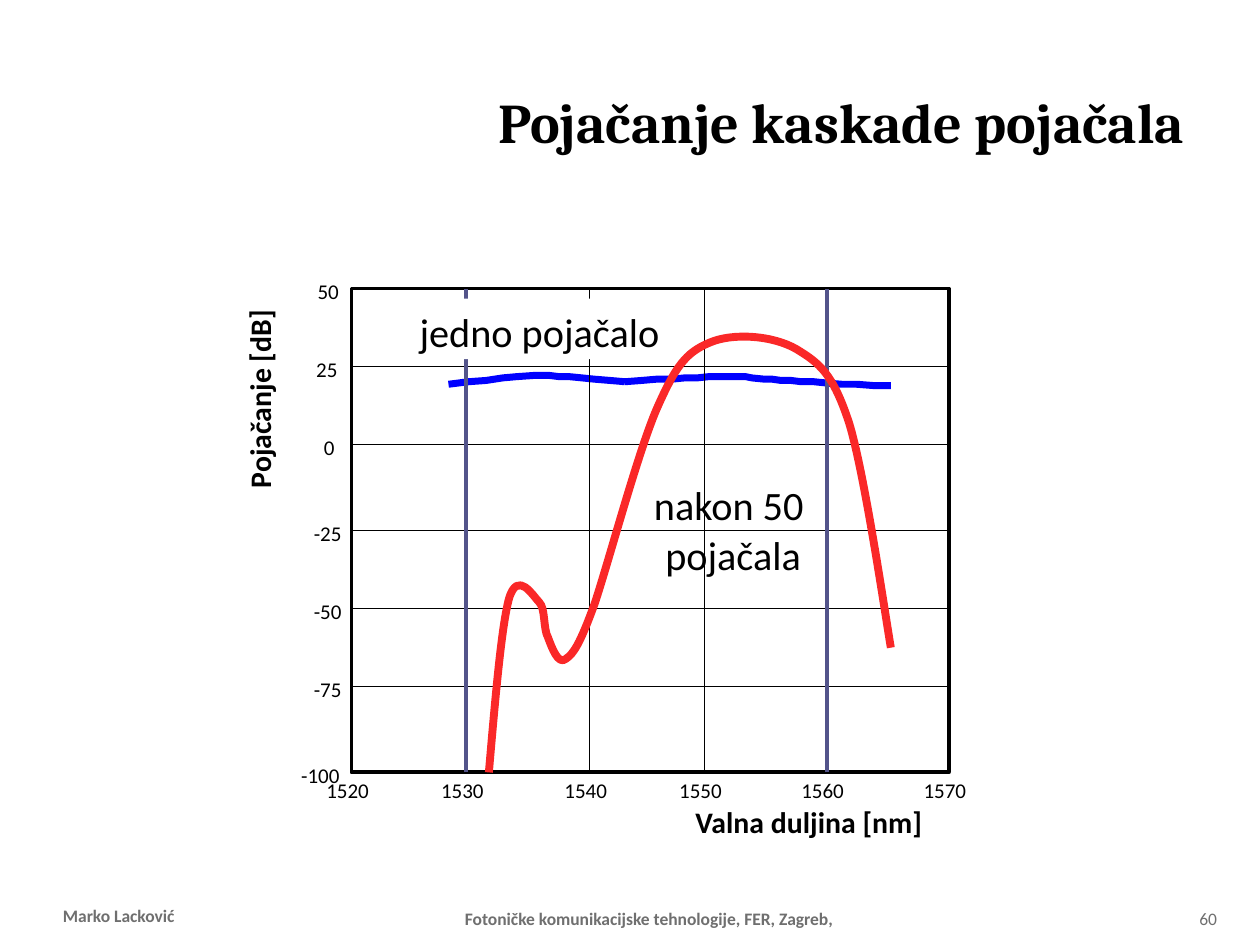
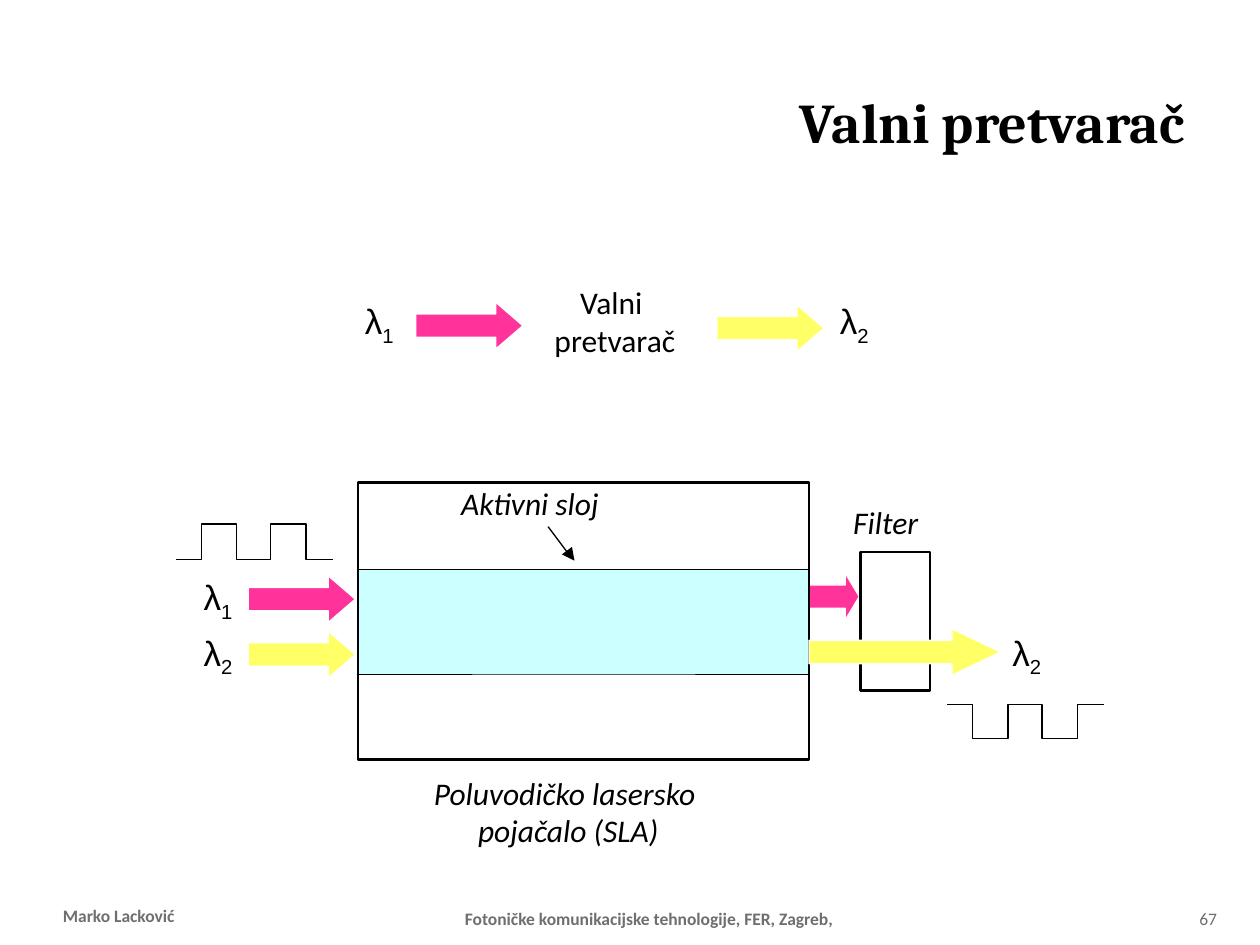
from itertools import chain
from lxml.etree import SubElement
from pptx import Presentation
from pptx.dml.color import RGBColor
from pptx.enum.shapes import MSO_CONNECTOR, MSO_SHAPE
from pptx.enum.text import MSO_ANCHOR, PP_ALIGN
from pptx.oxml.ns import qn
from pptx.util import Pt

PX = 9144  # EMU per px, 100 px to the inch
BLACK, WHITE, GREY = "000000", "FFFFFF", "6F6F6F"
BLUE, RED, VIOLET = "0000FF", "FA2828", "53548A"
PINK, YELLOW, CYAN = "FF3399", "FFFF66", "CCFFFF"


def paint(part, fill=None, line=None, width=0.75):
    """Colour a shape, connector or font; a missing colour means none."""
    if hasattr(part, "fill"):
        if fill:
            part.fill.solid()
            part.fill.fore_color.rgb = RGBColor.from_string(fill)
        else:
            part.fill.background()
    if hasattr(part, "line"):
        if line:
            part.line.color.rgb = RGBColor.from_string(line)
            part.line.width = Pt(width)
        else:
            part.line.fill.background()
        SubElement(part._element.spPr, qn("a:effectLst"))


def write(page, text, left, top, width, height, size=12, font="Calibri", color=BLACK,
          bold=False, italic=False, align=PP_ALIGN.LEFT, anchor=MSO_ANCHOR.TOP,
          inset=(0, 0), sub="", turn=0):
    """Add a text box: \\n parts paragraphs, \\v parts lines, sub is a closing subscript."""
    box = page.shapes.add_textbox(left * PX, top * PX, width * PX, height * PX)
    box.rotation = turn
    frame = box.text_frame
    frame.word_wrap = True
    frame.vertical_anchor = anchor
    frame.margin_left = inset[0] * PX
    frame.margin_right = inset[-1] * PX
    frame.margin_top = frame.margin_bottom = 5 * PX if any(inset) else 0
    for index, paragraph in enumerate(text.split("\n")):
        para = frame.add_paragraph() if index else frame.paragraphs[0]
        para.alignment = align
        para.font.size = Pt(size)
        for row, line in enumerate(paragraph.split("\v")):
            if row:
                para.add_line_break()
            for content in filter(None, (line, sub)):
                span = para.add_run()
                span.text = content
                span.font.name = font
                span.font.size = Pt(size)
                span.font.bold = bold
                span.font.italic = italic
                paint(span.font, color)
                if content == sub:
                    span.font._element.set("baseline", "-25000")


deck = Presentation()
deck.slide_width = 1000 * PX
deck.slide_height = 750 * PX

# Shared title and footer
pages = []
for title, number in (("Pojačanje kaskade pojačala", "60"), ("Valni pretvarač", "67")):
    page = deck.slides.add_slide(deck.slide_layouts[6])
    footer = dict(size=10, color=GREY, anchor=MSO_ANCHOR.BOTTOM)
    write(page, "Fotoničke komunikacijske tehnologije, FER, Zagreb, ", 158, 702, 717, 40,
          bold=True, align=PP_ALIGN.CENTER, inset=(10, 10), **footer)
    write(page, "Marko Lacković", 50, 700, 117, 40, bold=True, inset=(0, 10), **footer)
    write(page, number, 942, 702, 50, 40, inset=(10, 10), **footer)
    write(page, title, 50, 25, 900, 142, size=32, font="Cambria", bold=True,
          align=PP_ALIGN.RIGHT, anchor=MSO_ANCHOR.MIDDLE, inset=(10, 10))
    pages.append(page)
gain_page, converter_page = pages

# Gain plot: frame, flat curve of one amplifier, grid
wavelengths = {"1520": 279, "1530": 370, "1540": 468, "1550": 559, "1560": 656, "1570": 753}
gains = (("50", 229, 252, 19), ("25", 291, 251, 19), ("0", 353, 257, 10),
         ("-25", 421, 249, 25), ("-50", 483, 249, 25), ("-75", 545, 249, 25),
         ("-100", 613, 239, 34))
plot_left, plot_right, plot_top, plot_bottom = 279, 753, 229, 613

frame_box = gain_page.shapes.add_shape(
    MSO_SHAPE.RECTANGLE, plot_left * PX, plot_top * PX,
    (plot_right - plot_left) * PX, (plot_bottom - plot_top) * PX)
paint(frame_box, line=BLACK, width=2.13)

single_right = [(496, 303), (509, 302), (521, 301), (533, 301), (543, 300), (553, 300),
                (562, 299), (571, 299), (578, 299), (585, 299), (592, 299), (597, 300),
                (607, 301), (613, 301), (620, 302), (628, 302), (636, 303), (646, 303),
                (656, 304), (668, 305), (680, 305), (693, 306), (707, 306)]
single_left = [(356, 305), (372, 303), (386, 302), (399, 300), (410, 299), (424, 298),
               (429, 298), (436, 298), (444, 299), (452, 299), (462, 300), (472, 301),
               (484, 302), (496, 303)]
for points in (single_right, single_left):
    (x, y), *rest = [(x * PX, y * PX) for x, y in points]
    curve = gain_page.shapes.build_freeform(x, y)
    curve.add_line_segments(rest, close=False)
    paint(curve.convert_to_shape(), line=BLUE, width=4)

grid = [(plot_left, y, plot_right, y, BLACK, 0.75) for _, y, _, _ in gains[1:-1]]
for label, x in list(wavelengths.items())[1:-1]:
    band_edge = label in ("1530", "1560")
    grid.append((x, plot_bottom, x, plot_top,
                 VIOLET if band_edge else BLACK, 2.25 if band_edge else 0.75))
for x1, y1, x2, y2, color, width in grid:
    rule = gain_page.shapes.add_connector(
        MSO_CONNECTOR.STRAIGHT, x1 * PX, y1 * PX, x2 * PX, y2 * PX)
    paint(rule, line=color, width=width)

# Gain plot: labels
for label, y, left, width in gains:
    write(gain_page, label, left, y - 8, width, 20)
for label, x in wavelengths.items():
    write(gain_page, label, x - 20, 617, 38, 20)
write(gain_page, "Valna duljina [nm]", 552, 638, 216, 28, size=17, bold=True)
write(gain_page, "Pojačanje [dB]", 122, 290, 167, 28, size=17, bold=True, turn=270)
write(gain_page, "nakon 50", 519, 381, 139, 38, size=23)
write(gain_page, "pojačala", 528, 421, 125, 38, size=23)
label_back = gain_page.shapes.add_shape(
    MSO_SHAPE.RECTANGLE, 330 * PX, 237 * PX, 210 * PX, 48 * PX)
paint(label_back, fill=WHITE)
write(gain_page, "jedno pojačalo", 333, 244, 220, 38, size=23)

# Gain plot: curve of the cascade, each row two control points and an end
cascade = (((393, 555), (398, 497), (404, 475)), ((411, 452), (423, 473), (428, 478)),
           ((433, 483), (431, 499), (435, 506)), ((438, 514), (443, 528), (449, 523)),
           ((455, 519), (460, 512), (472, 479)), ((483, 446), (506, 360), (521, 325)),
           ((536, 291), (544, 280), (563, 272)), ((581, 264), (613, 266), (632, 277)),
           ((650, 288), (661, 296), (674, 336)), ((686, 375), (702, 484), (707, 514)))
curve = gain_page.shapes.build_freeform(388 * PX, 613 * PX)
curve.add_line_segments(
    [(x * PX, y * PX) for x, y in chain.from_iterable(cascade)], close=False)
cascade_curve = curve.convert_to_shape()
paint(cascade_curve, line=RED, width=4.5)
outline = cascade_curve._element.find(".//" + qn("a:path"))
segments = outline.findall(qn("a:lnTo"))
for first in range(0, len(segments), 3):
    bezier = SubElement(outline, qn("a:cubicBezTo"))
    for segment in segments[first:first + 3]:
        bezier.append(segment[0])
        outline.remove(segment)

# Wavelength converter: amplifier, filter and light arrows, from back to front
blocks = (
    (MSO_SHAPE.RIGHT_ARROW, 639, 455, 43, 37, PINK, WHITE, 0.75, 0.3),
    (MSO_SHAPE.RECTANGLE, 284, 452, 358, 83, CYAN, BLACK, 0.25, None),
    (MSO_SHAPE.RECTANGLE, 284, 383, 358, 220, None, BLACK, 1.39, None),
    (MSO_SHAPE.RECTANGLE, 683, 438, 55, 110, WHITE, BLACK, 1.39, None),
    (MSO_SHAPE.RIGHT_ARROW, 197, 501, 85, 37, YELLOW, WHITE, 0.75, 0.58),
    (MSO_SHAPE.RIGHT_ARROW, 197, 457, 85, 37, PINK, WHITE, 0.75, 0.58),
    (MSO_SHAPE.RIGHT_ARROW, 642, 499, 152, 37, YELLOW, WHITE, 0.75, 1.04),
    (MSO_SHAPE.RECTANGLE, 415, 208, 154, 100, None, WHITE, 0.75, None),
    (MSO_SHAPE.RIGHT_ARROW, 330, 240, 85, 37, PINK, WHITE, 0.75, 0.58),
    (MSO_SHAPE.RIGHT_ARROW, 569, 242, 85, 37, YELLOW, WHITE, 0.75, 0.58),
)
for kind, left, top, width, height, fill, line, weight, head in blocks:
    block = converter_page.shapes.add_shape(
        kind, left * PX, top * PX, width * PX, height * PX)
    if head:
        block.adjustments[1] = head
    paint(block, fill, line, weight)

# Pointer to the active layer
pointer = converter_page.shapes.add_connector(
    MSO_CONNECTOR.STRAIGHT, 435 * PX, 418 * PX, 450 * PX, 438 * PX)
paint(pointer, line=BLACK)
pointer_head = converter_page.shapes.build_freeform(454 * PX, 434 * PX)
pointer_head.add_line_segments([(456 * PX, 445 * PX), (446 * PX, 440 * PX)])
paint(pointer_head.convert_to_shape(), fill=BLACK)

# Input pulses and their inverted output
edges = (20, 48, 75, 103)
for left, rest_level, pulse_level in ((140, 444, 416), (752, 559, 586)):
    points, level, other = [], rest_level, pulse_level
    for edge in edges:
        points += [(left + edge, level), (left + edge, other)]
        level, other = other, level
    points.append((left + 124, rest_level))
    pulses = converter_page.shapes.build_freeform(left * PX, rest_level * PX)
    pulses.add_line_segments([(x * PX, y * PX) for x, y in points], close=False)
    paint(pulses.convert_to_shape(), line=BLACK)

# Wavelength converter: labels
for index, left, top in (("1", 149, 452), ("2", 149, 496), ("2", 791, 496),
                         ("1", 277, 233), ("2", 654, 233)):
    write(converter_page, "λ", left, top, 48, 48, size=20, font="Arial",
          align=PP_ALIGN.CENTER, inset=(10, 10), sub=index)
write(converter_page, "Aktivni sloj", 366, 384, 126, 30, size=18, italic=True)
write(converter_page, "Filter", 675, 399, 56, 30, size=18, italic=True,
      align=PP_ALIGN.CENTER)
write(converter_page, "Poluvodičko lasersko \npojačalo (SLA)", 332, 614, 238, 60,
      size=18, italic=True, align=PP_ALIGN.CENTER)
write(converter_page, "Valni \vpretvarač", 432, 225, 112, 60, size=18,
      align=PP_ALIGN.CENTER)

deck.save("out.pptx")
